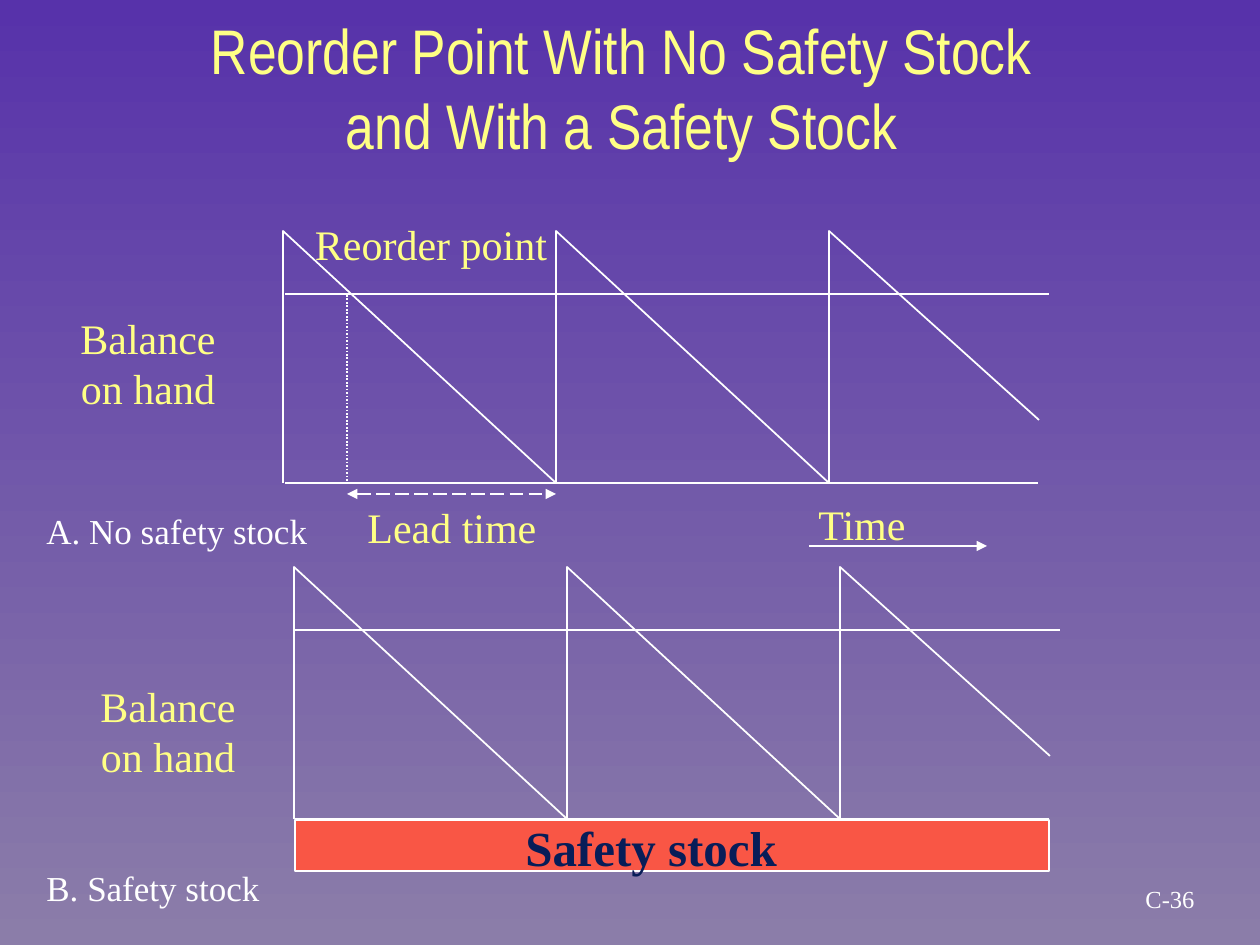
from lxml.etree import SubElement
from pptx import Presentation
from pptx.dml.color import RGBColor
from pptx.enum.dml import MSO_LINE
from pptx.enum.shapes import MSO_CONNECTOR, MSO_SHAPE
from pptx.enum.text import MSO_ANCHOR, MSO_AUTO_SIZE, PP_ALIGN
from pptx.oxml.ns import qn
from pptx.util import Emu, Pt

PIXELS_PER_INCH = 126
YELLOW = RGBColor(0xFF, 0xFF, 0x85)
WHITE = RGBColor(0xFF, 0xFF, 0xFF)
NAVY = RGBColor(0x08, 0x1D, 0x58)
CORAL = RGBColor(0xF9, 0x56, 0x45)
PURPLE = RGBColor(0x57, 0x32, 0xAA)
MAUVE = RGBColor(0x8B, 0x7D, 0xA9)

TITLE = {"name": "Arial Narrow", "size": Pt(36), "color": YELLOW}
LABEL = {"name": "Times New Roman", "size": Pt(24), "color": YELLOW}
CAPTION = {**LABEL, "size": Pt(20), "color": WHITE}
NUMBER = {**CAPTION, "size": Pt(14)}
STOCK = {**LABEL, "size": Pt(28), "color": NAVY, "bold": True}

CYCLE_WIDTH = 273
CYCLE_HEIGHT = 252
LAST_WIDTH = 210
LAST_DROP = 189
REORDER_DROP = 63


def px(value):
    return Emu(round(value * 914400 / PIXELS_PER_INCH))


def set_background(slide):
    fill = slide.background.fill
    fill.gradient()
    fill.gradient_angle = 270
    for stop, color in zip(fill.gradient_stops, (PURPLE, MAUVE)):
        stop.color.rgb = color


def style_line(line):
    line.color.rgb = WHITE
    line.width = Pt(1)


def add_text(slide, box, lines, style, alignment=PP_ALIGN.CENTER, anchor=MSO_ANCHOR.TOP):
    shape = slide.shapes.add_textbox(*map(px, box))
    frame = shape.text_frame
    frame.word_wrap = False
    frame.auto_size = MSO_AUTO_SIZE.SHAPE_TO_FIT_TEXT
    frame.vertical_anchor = anchor
    frame.text = "\n".join(lines)
    for paragraph in frame.paragraphs:
        paragraph.alignment = alignment
        for key, value in style.items():
            if key == "color":
                paragraph.font.color.rgb = value
            else:
                setattr(paragraph.font, key, value)


def add_line(slide, start, end, dash=None, arrows=()):
    connector = slide.shapes.add_connector(
        MSO_CONNECTOR.STRAIGHT, *map(px, (*start, *end))
    )
    style_line(connector.line)
    if dash is not None:
        connector.line.dash_style = dash
    properties = connector._element.spPr
    outline = properties.find(qn("a:ln"))
    for arrow in arrows:
        SubElement(outline, qn(f"a:{arrow}"), type="triangle")
    SubElement(properties, qn("a:effectLst"))


def add_cycle(slide, left, bottom, width, drop):
    top = bottom - CYCLE_HEIGHT
    builder = slide.shapes.build_freeform(px(left), px(bottom))
    points = [(left, top), (left + width, top + drop)]
    builder.add_line_segments([(px(x), px(y)) for x, y in points], close=False)
    shape = builder.convert_to_shape()
    shape.shadow.inherit = False
    shape.fill.background()
    style_line(shape.line)


def add_stock_chart(slide, left, bottom, axis_left, axis_right, reorder_right):
    add_line(slide, (axis_left, bottom), (axis_right, bottom))
    sizes = [(CYCLE_WIDTH, CYCLE_HEIGHT)] * 2 + [(LAST_WIDTH, LAST_DROP)]
    for index, (width, drop) in enumerate(sizes):
        add_cycle(slide, left + index * CYCLE_WIDTH, bottom, width, drop)
    reorder_level = bottom - CYCLE_HEIGHT + REORDER_DROP
    add_line(slide, (axis_left, reorder_level), (reorder_right, reorder_level))


def add_safety_stock(slide):
    shape = slide.shapes.add_shape(MSO_SHAPE.RECTANGLE, *map(px, (295, 820, 754, 51)))
    shape.shadow.inherit = False
    shape.fill.solid()
    shape.fill.fore_color.rgb = CORAL
    style_line(shape.line)


def main():
    presentation = Presentation()
    presentation.slide_width = px(1260)
    presentation.slide_height = px(945)
    slide = presentation.slides.add_slide(presentation.slide_layouts[6])
    set_background(slide)

    title = ["Reorder Point With No Safety Stock", "and With a Safety Stock"]
    add_text(slide, (88, 5, 1067, 164), title, TITLE)

    add_stock_chart(slide, 283, 483, 285, 1038, 1049)
    add_safety_stock(slide)
    add_stock_chart(slide, 294, 819, 295, 1049, 1060)

    add_line(slide, (347, 295), (347, 483), dash=MSO_LINE.ROUND_DOT)
    add_line(slide, (347, 494), (556, 494), MSO_LINE.LONG_DASH, ("headEnd", "tailEnd"))
    add_line(slide, (809, 546), (987, 546), arrows=("tailEnd",))

    add_text(slide, (300, 212, 262, 63), ["Reorder point"], LABEL)
    add_text(slide, (353, 495, 198, 63), ["Lead time"], LABEL)
    add_text(slide, (806, 492, 118, 63), ["Time"], LABEL, PP_ALIGN.LEFT)
    add_text(slide, (509, 811, 284, 71), ["Safety stock"], STOCK)
    for left, top in ((64, 306), (84, 674)):
        add_text(slide, (left, top, 168, 113), ["Balance", "on hand"], LABEL)
    add_text(slide, (34, 503, 294, 54), ["A. No safety stock"], CAPTION, PP_ALIGN.LEFT)
    add_text(slide, (34, 860, 246, 54), ["B. Safety stock"], CAPTION, PP_ALIGN.LEFT)
    add_text(slide, (1094, 877, 152, 43), ["C-36"], NUMBER, anchor=MSO_ANCHOR.MIDDLE)

    presentation.save("out.pptx")


if __name__ == "__main__":
    main()
